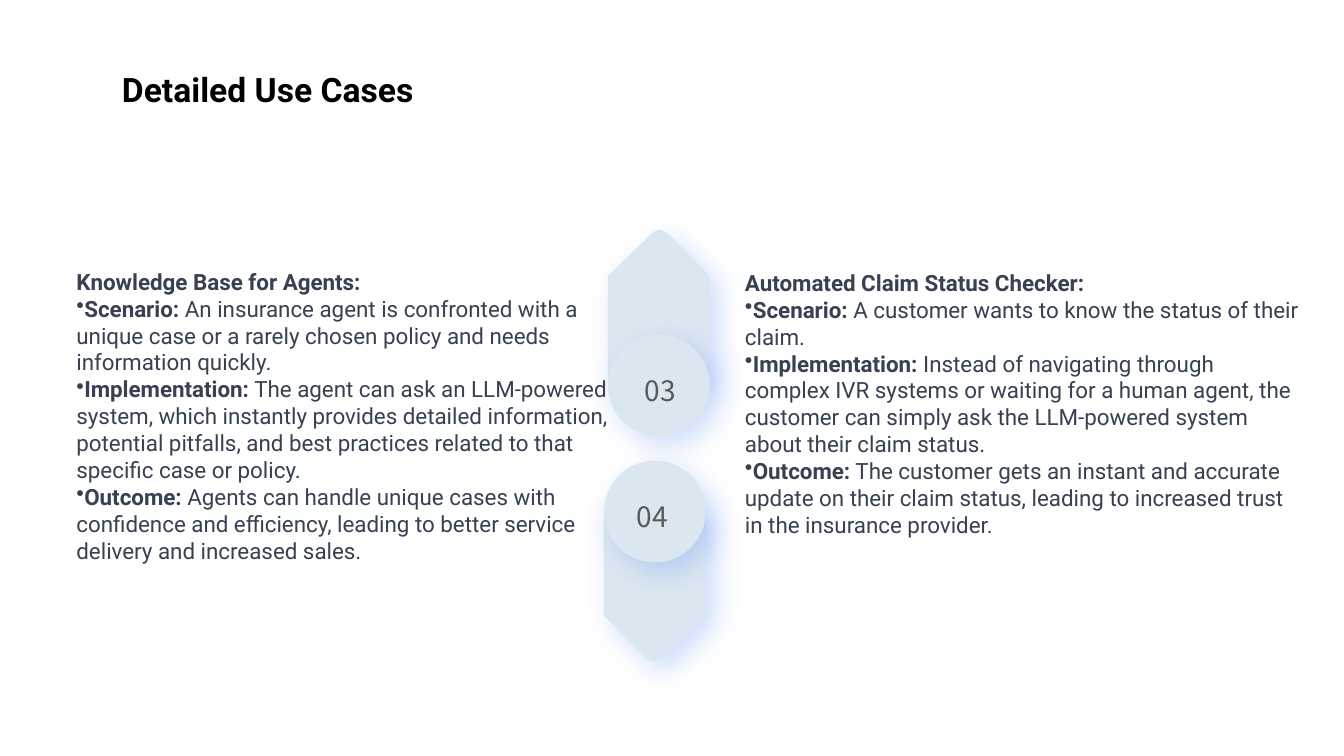
import dataclasses

import lxml.etree
import pptx
import pptx.dml.color
import pptx.enum.shapes
import pptx.enum.text
import pptx.oxml.ns
import pptx.shapes.autoshape
import pptx.text.text
import pptx.util

PX = 9144  # EMU per px, 100 px to the inch

PALE_BLUE = pptx.dml.color.RGBColor(0xDB, 0xE7, 0xF0)
GLOW_BLUE = pptx.dml.color.RGBColor(0x5E, 0x91, 0xF8)
SLATE = pptx.dml.color.RGBColor(0x37, 0x41, 0x51)
GREY = pptx.dml.color.RGBColor(0x59, 0x59, 0x59)
BLACK = pptx.dml.color.RGBColor(0, 0, 0)

BODY_FONT = "Roboto"
NUMBER_FONT = "Noto Sans CJK SC"
BADGE_SIZE = 101
ARROW_HEIGHT = 152
TIP_CURVE = ((40, 7), (48, -2), (53, -2), (63, 7))
CURVE_STEPS = 12


@dataclasses.dataclass
class Badge:
    number: str
    left: int
    arrow_top: int
    circle_top: int
    number_left: int
    rotation: int


@dataclasses.dataclass
class UseCase:
    heading: str
    points: list[tuple[str, str]]
    left: int
    top: int
    width: int
    height: int


BADGES = [
    Badge("03", 603, 228, 332, 627, 0),
    Badge("04", 599, 504, 457, 619, 180),
]

USE_CASES = [
    UseCase("Knowledge Base for Agents:", [
        ("Scenario:", " An insurance agent is confronted with a unique case or a rarely "
         "chosen policy and needs information quickly."),
        ("Implementation:", " The agent can ask an LLM-powered system, which instantly "
         "provides detailed information, potential pitfalls, and best practices related "
         "to that specific case or policy."),
        ("Outcome:", " Agents can handle unique cases with confidence and efficiency, "
         "leading to better service delivery and increased sales."),
    ], 66, 261, 553, 343),
    UseCase("Automated Claim Status Checker:", [
        ("Scenario:", " A customer wants to know the status of their claim."),
        ("Implementation:", " Instead of navigating through complex IVR systems or waiting "
         "for a human agent, the customer can simply ask the LLM-powered system about "
         "their claim status."),
        ("Outcome:", " The customer gets an instant and accurate update on their claim "
         "status, leading to increased trust in the insurance provider."),
    ], 729, 262, 570, 289),
]


def px(*lengths: int) -> list[pptx.util.Emu]:
    return [pptx.util.Emu(length * PX) for length in lengths]


def format_run(run: pptx.text.text._Run, font: str, size: int,
               color: pptx.dml.color.RGBColor, bold: bool = False) -> None:
    run.font.name = font
    run.font.size = pptx.util.Pt(size)
    run.font.color.rgb = color
    run.font.bold = bold


def style_glowing(shape: pptx.shapes.autoshape.Shape, rotation: int) -> None:
    """Fill the shape and give it a soft blue shadow to the lower right."""
    shape.rotation = rotation
    shape.fill.solid()
    shape.fill.fore_color.rgb = PALE_BLUE
    shape.line.fill.background()
    shape.shadow.inherit = False
    qn = pptx.oxml.ns.qn
    effects = shape._element.spPr.find(qn("a:effectLst"))
    shadow = lxml.etree.SubElement(
        effects, qn("a:outerShdw"), blurRad=str(pptx.util.Pt(20)),
        dist=str(pptx.util.Pt(9)), dir=str(45 * 60000), algn="tl", rotWithShape="0")
    color = lxml.etree.SubElement(shadow, qn("a:srgbClr"), val=str(GLOW_BLUE))
    lxml.etree.SubElement(color, qn("a:alpha"), val="30000")


def tip_point(t: float) -> tuple[float, float]:
    """Point on the rounded arrow tip, a cubic curve."""
    weights = ((1 - t) ** 3, 3 * t * (1 - t) ** 2, 3 * t ** 2 * (1 - t), t ** 3)
    x, y = (sum(w * p[axis] for w, p in zip(weights, TIP_CURVE)) for axis in (0, 1))
    return x, y


def draw_arrow(shapes, badge: Badge) -> None:
    tip = [tip_point(step / CURVE_STEPS) for step in range(CURVE_STEPS + 1)]
    outline = [*tip, (BADGE_SIZE, 46), (BADGE_SIZE, ARROW_HEIGHT), (0, ARROW_HEIGHT)]
    builder = shapes.build_freeform(0, 46 * PX)
    builder.add_line_segments([(x * PX, y * PX) for x, y in outline], close=True)
    style_glowing(builder.convert_to_shape(*px(badge.left, badge.arrow_top)), badge.rotation)


def draw_circle(shapes, badge: Badge) -> None:
    group = shapes.add_group_shape()
    circle = group.shapes.add_shape(
        pptx.enum.shapes.MSO_SHAPE.OVAL,
        *px(badge.left, badge.circle_top, BADGE_SIZE, BADGE_SIZE))
    style_glowing(circle, badge.rotation)
    number = group.shapes.add_textbox(*px(badge.number_left, badge.circle_top + 34, 56, 44))
    number.text_frame.word_wrap = True
    number.text_frame.text = badge.number
    paragraph = number.text_frame.paragraphs[0]
    paragraph.alignment = pptx.enum.text.PP_ALIGN.CENTER
    format_run(paragraph.runs[0], NUMBER_FONT, 20, GREY)


def draw_use_case(shapes, case: UseCase) -> None:
    frame = shapes.add_textbox(*px(case.left, case.top, case.width, case.height)).text_frame
    frame.word_wrap = True
    frame.text = case.heading
    format_run(frame.paragraphs[0].runs[0], BODY_FONT, 16, SLATE, bold=True)
    for label, detail in case.points:
        paragraph = frame.add_paragraph()
        paragraph.text = label
        paragraph.add_run().text = detail
        label_run, detail_run = paragraph.runs
        format_run(label_run, BODY_FONT, 16, SLATE, bold=True)
        format_run(detail_run, BODY_FONT, 16, SLATE)
        properties = paragraph._p.get_or_add_pPr()
        properties.set("marL", "0")
        properties.set("indent", "0")
        lxml.etree.SubElement(properties, pptx.oxml.ns.qn("a:buChar"), char="•")


def draw_title(title: pptx.shapes.autoshape.Shape) -> None:
    title.left, title.top, title.width, title.height = px(111, 58, 373, 61)
    frame = title.text_frame
    frame.text = "Detailed Use Cases"
    frame.auto_size = pptx.enum.text.MSO_AUTO_SIZE.NONE
    frame.vertical_anchor = pptx.enum.text.MSO_ANCHOR.MIDDLE
    frame.paragraphs[0].alignment = pptx.enum.text.PP_ALIGN.LEFT
    format_run(frame.paragraphs[0].runs[0], BODY_FONT, 24, BLACK, bold=True)


def main() -> None:
    presentation = pptx.Presentation()
    presentation.slide_width, presentation.slide_height = px(1333, 750)
    slide = presentation.slides.add_slide(presentation.slide_layouts[5])
    draw_title(slide.shapes.title)

    # Central arrows, with the numbered circles on top
    for badge in BADGES:
        draw_arrow(slide.shapes, badge)
    for badge in BADGES:
        draw_circle(slide.shapes, badge)

    # Use cases on either side
    for case in USE_CASES:
        draw_use_case(slide.shapes, case)

    presentation.save("out.pptx")


if __name__ == "__main__":
    main()
